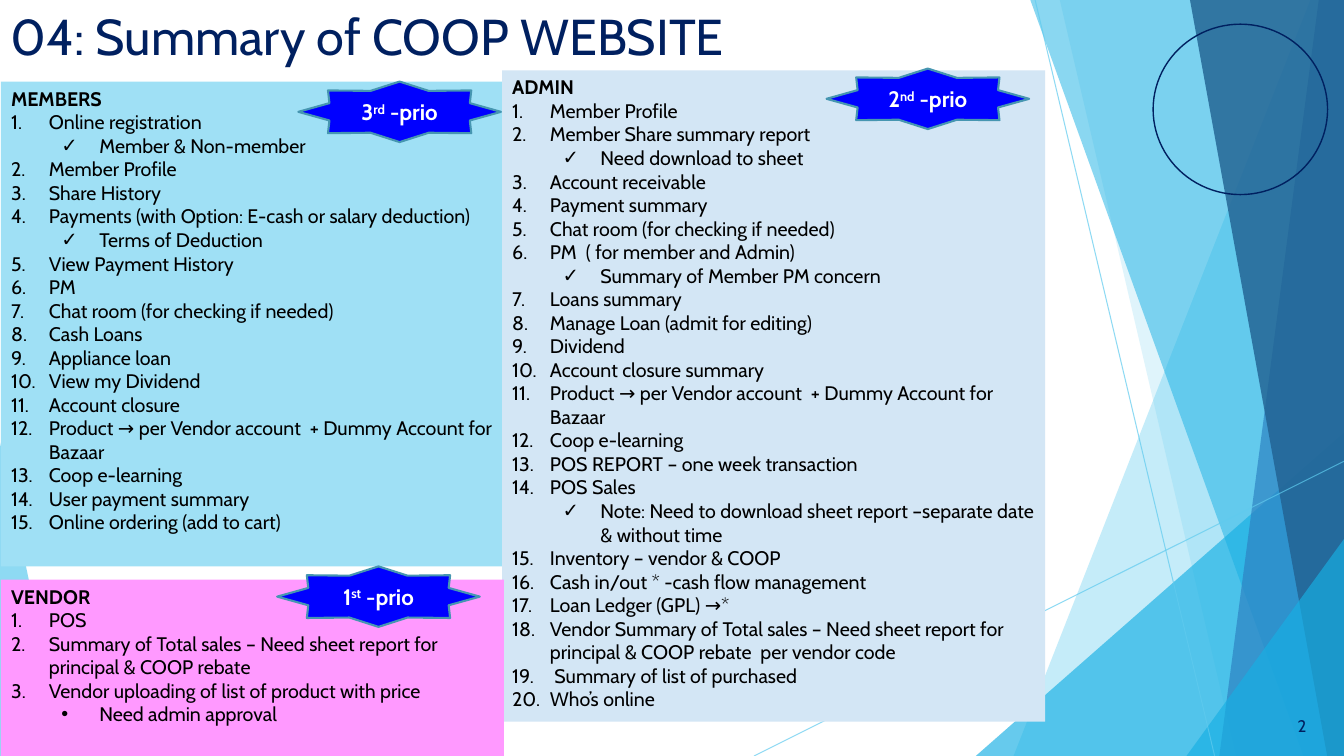
from dataclasses import dataclass

from pptx import Presentation
from pptx.dml.color import RGBColor as RGB
from pptx.enum.shapes import MSO_CONNECTOR as CONN, MSO_SHAPE as SHAPE
from pptx.enum.text import MSO_ANCHOR as ANCHOR, MSO_AUTO_SIZE as FIT, PP_ALIGN as ALIGN
from pptx.oxml.ns import qn
from pptx.util import Pt
from lxml.etree import SubElement


@dataclass(frozen=True)
class Theme:
    font: str = "Cabin"
    title_size: int = 36
    body_size: int = 14
    badge_size: int = 16
    number_size: int = 12
    navy: str = "002060"
    black: str = "000000"
    white: str = "FFFFFF"
    badge: str = "0000FF"
    badge_line: str = "4696B1"
    members: str = "9FE0F5"
    admin: str = "D3E6F5"
    vendor: str = "FF99FF"
    sky: str = "5FCBEF"
    cyan: str = "17B0E4"
    blue: str = "2E83C3"
    deep: str = "226292"


T = Theme()
WIDTH, HEIGHT = 960, 540


def add_run(p, text, size, color, bold=False):
    r = p.add_run()
    r.text = text
    r.font.name, r.font.size, r.font.bold = T.font, Pt(size), bold
    r.font.color.rgb = RGB.from_string(color)
    return r


def set_translucent(fill, color, percent):
    """Fill with a solid colour at the given opacity."""
    fill.solid()
    fill.fore_color.rgb = RGB.from_string(color)
    clr = fill._xPr.find(qn("a:solidFill")).find(qn("a:srgbClr"))
    SubElement(clr, qn("a:alpha"), val=str(percent * 1000))


prs = Presentation()
prs.slide_width, prs.slide_height = Pt(WIDTH), Pt(HEIGHT)
s = prs.slides.add_slide(prs.slide_layouts.get_by_name("Comparison"))
title, *bodies = s.placeholders
spare = bodies.pop()
spare._element.getparent().remove(spare._element)

# Background facets: slanted side from top to bottom, closed along a slide edge
facets = [
    # x top, y top, x bottom, edge x, colour, opacity
    (0, 316, 47, 0, T.sky, 70),
    (936, 0, 724, WIDTH, T.sky, 36),
    (757, 0, 883, WIDTH, T.sky, 20),
    (WIDTH, 309, 697, WIDTH, T.cyan, 66),
    (736, 0, 931, WIDTH, T.cyan, 50),
    (942, 0, 871, WIDTH, T.blue, 70),
    (850, 0, 948, WIDTH, T.deep, 82),
    (WIDTH, 385, 847.5, WIDTH, T.cyan, 66),
]
for x_top, y_top, x_bottom, edge, color, opacity in facets:
    builder = s.shapes.build_freeform(Pt(x_top), Pt(y_top))
    corners = [(x_bottom, HEIGHT), (edge, HEIGHT), (edge, y_top)]
    builder.add_line_segments([(Pt(x), Pt(y)) for x, y in corners])
    facet = builder.convert_to_shape()
    facet.shadow.inherit = False
    facet.line.fill.background()
    set_translucent(facet.fill, color, opacity)

for x1, y1, x2, y2 in [(538.6, 540, 960, 329.5), (739.4, 0, 867.6, 540)]:
    ray = s.shapes.add_connector(CONN.STRAIGHT, Pt(x1), Pt(y1), Pt(x2), Pt(y2))
    ray.line.width = Pt(0.75)
    set_translucent(ray.line.fill, T.sky, 70)
    SubElement(ray._element.spPr, qn("a:effectLst"))

ring = s.shapes.add_shape(SHAPE.OVAL, Pt(823.7), Pt(17.3), Pt(124.6), Pt(121.7))
ring.shadow.inherit = False
ring.fill.background()
ring.line.color.rgb = RGB.from_string(T.navy)
ring.line.width = Pt(1)

number = s.shapes.add_textbox(Pt(886.3), Pt(504), Pt(54), Pt(28.8))
tf = number.text_frame
tf.word_wrap, tf.vertical_anchor = True, ANCHOR.MIDDLE
p = tf.paragraphs[0]
p.alignment = ALIGN.RIGHT
add_run(p, "2", T.number_size, T.navy)

title.left, title.top, title.width, title.height = Pt(0), Pt(0), Pt(663), Pt(58.3)
tf = title.text_frame
tf.auto_size, tf.vertical_anchor = FIT.NONE, ANCHOR.TOP
p = tf.paragraphs[0]
p.alignment = ALIGN.LEFT
add_run(p, "04: Summary of COOP WEBSITE", T.title_size, T.navy)

# Lists: a leading ✓ or • marks a sub-item, every other item is numbered
panels = [
    ("MEMBERS", T.members, (0.7, 58.3, 359.3, 346.3), [
        "Online registration",
        "✓Member & Non-member",
        "Member Profile",
        "Share History",
        "Payments (with Option: E-cash or salary deduction)",
        "✓Terms of Deduction",
        "View Payment History",
        "PM",
        "Chat room (for checking if needed)",
        "Cash Loans",
        "Appliance loan",
        "View my Dividend",
        "Account closure",
        "Product → per Vendor account  + Dummy Account for Bazaar",
        "Coop e-learning",
        "User payment summary",
        "Online ordering (add to cart)",
    ]),
    ("ADMIN", T.admin, (358.6, 50.2, 388, 465.2), [
        "Member Profile",
        "Member Share summary report",
        "✓Need download to sheet",
        "Account receivable",
        "Payment summary",
        "Chat room (for checking if needed)",
        "PM  ( for member and Admin)",
        "✓Summary of Member PM concern",
        "Loans summary",
        "Manage Loan (admit for editing)",
        "Dividend",
        "Account closure summary",
        "Product → per Vendor account  + Dummy Account for Bazaar",
        "Coop e-learning",
        "POS REPORT – one week transaction",
        "POS Sales",
        "✓Note: Need to download sheet report –separate date & without time",
        "Inventory – vendor & COOP",
        "Cash in/out * -cash flow management",
        "Loan Ledger (GPL) →*",
        "Vendor Summary of Total sales – Need sheet report for principal "
        "& COOP rebate  per vendor code",
        " Summary of list of purchased",
        "Who’s online",
    ]),
    ("VENDOR", T.vendor, (0.7, 414, 359.3, 126), [
        "POS",
        "Summary of Total sales – Need sheet report for principal & COOP rebate",
        "Vendor uploading of list of product with price",
        "•Need admin approval",
    ]),
]
for body, (heading, color, box, items) in zip(bodies, panels):
    s.shapes._spTree.append(body._element)  # bring in front of the facets
    body.left, body.top, body.width, body.height = map(Pt, box)
    body.fill.solid()
    body.fill.fore_color.rgb = RGB.from_string(color)
    tf = body.text_frame
    tf.auto_size, tf.vertical_anchor, tf.word_wrap = FIT.NONE, ANCHOR.TOP, True
    p = tf.paragraphs[0]
    p.space_before = Pt(0)
    pPr = p._p.get_or_add_pPr()
    pPr.set("marL", "0")
    pPr.set("indent", "0")
    SubElement(pPr, qn("a:buNone"))
    add_run(p, heading, T.body_size, T.black, bold=True)
    for item in items:
        is_sub = item[0] in "✓•"
        p = tf.add_paragraph()
        p.level = int(is_sub)
        p.space_before = Pt(0)
        pPr = p._p.get_or_add_pPr()
        pPr.set("marL", str(Pt(63 if is_sub else 27)))
        pPr.set("indent", str(Pt(-27)))
        if is_sub:
            SubElement(pPr, qn("a:buChar"), char=item[0])
        else:
            SubElement(pPr, qn("a:buFont"), typeface="+mj-lt")
            SubElement(pPr, qn("a:buAutoNum"), type="arabicPeriod")
        add_run(p, item[1:] if is_sub else item, T.body_size, T.black)

for rank, suffix, x, y in [("1", "st", 198, 404.6), ("2", "nd", 590.4, 49), ("3", "rd", 213.1, 58.3)]:
    badge = s.shapes.add_shape(SHAPE.STAR_8_POINT, Pt(x), Pt(y), Pt(144.7), Pt(43.2))
    badge.shadow.inherit = False
    badge.fill.solid()
    badge.fill.fore_color.rgb = RGB.from_string(T.badge)
    badge.line.color.rgb = RGB.from_string(T.badge_line)
    badge.line.width = Pt(1.5)
    tf = badge.text_frame
    tf.vertical_anchor = ANCHOR.MIDDLE
    p = tf.paragraphs[0]
    p.alignment = ALIGN.CENTER
    add_run(p, rank, T.badge_size, T.white, bold=True)
    r = add_run(p, suffix, T.badge_size, T.white, bold=True)
    r.font._element.set("baseline", "30000")
    add_run(p, " -prio", T.badge_size, T.white, bold=True)

prs.save("out.pptx")
